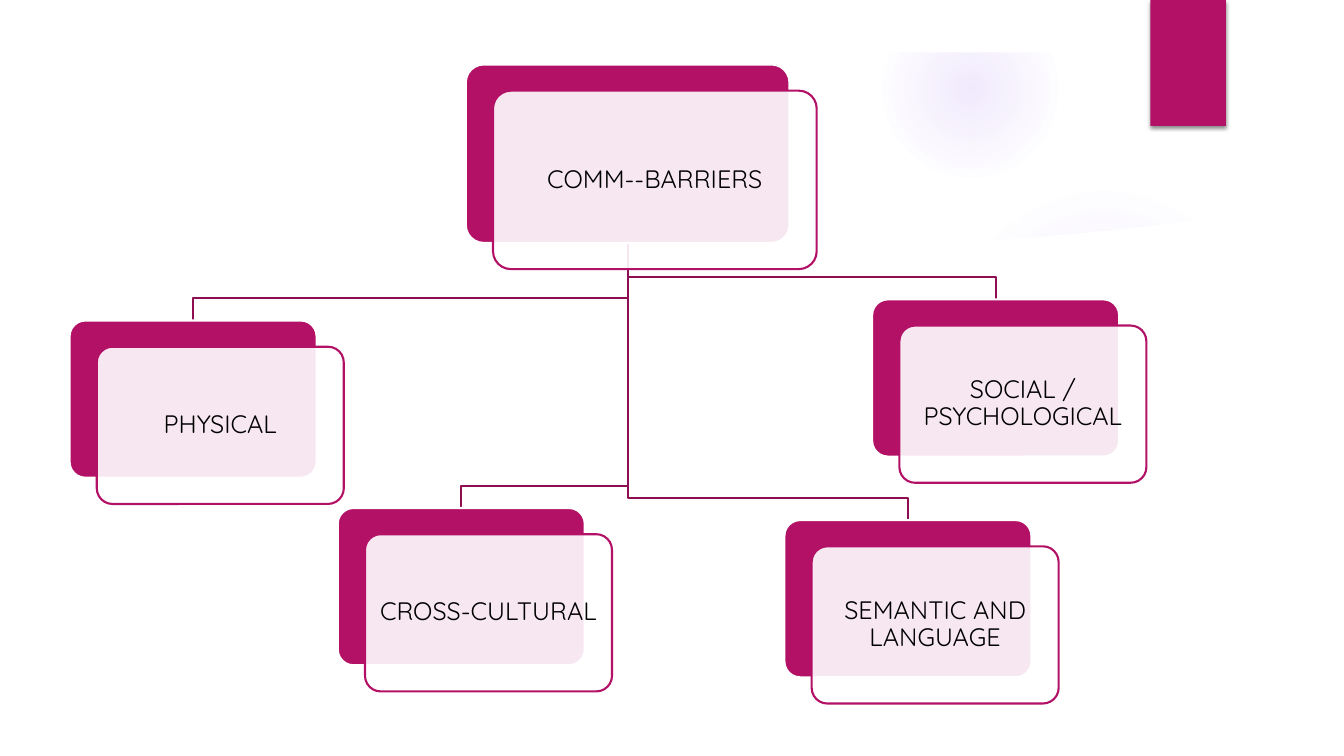
from lxml.etree import SubElement
from pptx import Presentation
from pptx.dml.color import RGBColor
from pptx.enum.shapes import MSO_SHAPE
from pptx.enum.text import MSO_ANCHOR, PP_ALIGN
from pptx.oxml.ns import qn
from pptx.util import Inches, Pt

MAGENTA = RGBColor(0xB3, 0x11, 0x66)
PLUM = RGBColor(0x8F, 0x0E, 0x52)
VIOLET = RGBColor(0x9B, 0x6B, 0xF2)
WHITE = RGBColor(0xFF, 0xFF, 0xFF)
BLACK = RGBColor(0x00, 0x00, 0x00)


def style_shape(shape, fill=None, line=None):
    shape.shadow.inherit = False
    if fill is None:
        shape.fill.background()
    else:
        shape.fill.solid()
        shape.fill.fore_color.rgb = fill
    if line is None:
        shape.line.fill.background()
    else:
        shape.line.color.rgb = line
        shape.line.width = Pt(1.5)


def write_text(shape, text, font="Quicksand", size=18, color=BLACK, inset=0.07):
    frame = shape.text_frame
    frame.word_wrap = True
    frame.vertical_anchor = MSO_ANCHOR.MIDDLE
    frame.margin_left = frame.margin_right = Inches(inset)
    frame.margin_top = frame.margin_bottom = Inches(inset)
    paragraph = frame.paragraphs[0]
    paragraph.alignment = PP_ALIGN.CENTER
    paragraph.line_spacing = 0.9
    run = paragraph.add_run()
    run.text = text
    run.font.name = font
    run.font.size = Pt(size)
    run.font.color.rgb = color


presentation = Presentation()
presentation.slide_width = Inches(13.33)
presentation.slide_height = Inches(7.5)
slide = presentation.slides.add_slide(presentation.slide_layouts[6])
shapes = slide.shapes

glows = [
    (9.41, 1.83, 3.08, [(0, 7), (36, 6), (69, 0)]),
    (8.75, 0.01, 1.75, [(0, 14), (36, 7), (73, 0)]),
]
for left, top, size, stops in glows:
    glow = shapes.add_shape(
        MSO_SHAPE.OVAL, Inches(left), Inches(top), Inches(size), Inches(size)
    )
    style_shape(glow, VIOLET)
    properties = glow.fill._xPr
    solid = properties.find(qn("a:solidFill"))
    gradient = SubElement(properties, qn("a:gradFill"), rotWithShape="1")
    properties.replace(solid, gradient)
    stop_list = SubElement(gradient, qn("a:gsLst"))
    for position, opacity in stops:
        stop = SubElement(stop_list, qn("a:gs"), pos=str(position * 1000))
        color = SubElement(stop, qn("a:srgbClr"), val=str(VIOLET))
        SubElement(color, qn("a:alpha"), val=str(opacity * 1000))
    center = SubElement(gradient, qn("a:path"), path="circle")
    SubElement(center, qn("a:fillToRect"), l="50000", t="50000", r="50000", b="50000")

wave_points = [
    (9.21, 2.42), (9.76, 2.39), (10.32, 2.35), (10.88, 2.3), (11.44, 2.24),
    (12, 2.17), (12.56, 2.09), (12.84, 2.04), (12.84, 7), (9.21, 7),
]
wave_points = [(Inches(x), Inches(y)) for x, y in wave_points]
wave_builder = shapes.build_freeform(*wave_points[0])
wave_builder.add_line_segments(wave_points[1:])
style_shape(wave_builder.convert_to_shape(), WHITE)

top_margin = shapes.add_shape(
    MSO_SHAPE.RECTANGLE, 0, 0, presentation.slide_width, Inches(0.52)
)
style_shape(top_margin, WHITE)

tab = shapes.add_shape(
    MSO_SHAPE.RECTANGLE, Inches(11.41), 0, Inches(0.75), Inches(1.25)
)
style_shape(tab, MAGENTA)
effects = tab._element.spPr.find(qn("a:effectLst"))
shadow = SubElement(
    effects, qn("a:outerShdw"), blurRad=str(Pt(3)), dist=str(Pt(2)), dir="5400000"
)
shadow_color = SubElement(shadow, qn("a:srgbClr"), val=str(BLACK))
SubElement(shadow_color, qn("a:alpha"), val="45000")

root = ("COMM--BARRIERS", 4.62, 0.64, 3.21, 1.77)
children = [
    ("PHYSICAL", 0.69, 3.18, 2.45, 1.56),
    ("CROSS-CULTURAL", 3.35, 5.04, 2.45, 1.56),
    ("SOCIAL / PSYCHOLOGICAL", 8.65, 2.97, 2.45, 1.56),
    ("SEMANTIC AND LANGUAGE", 7.78, 5.16, 2.45, 1.56),
]

trunk = Inches(6.23)
for text, left, top, width, height in reversed(children):
    branch_end = Inches(left + width / 2)
    bend = Inches(top - 0.22)
    branch_builder = shapes.build_freeform(trunk, Inches(2.41))
    branch_builder.add_line_segments(
        [(trunk, bend), (branch_end, bend), (branch_end, Inches(top))], close=False
    )
    style_shape(branch_builder.convert_to_shape(), line=PLUM)

for text, left, top, width, height in [root] + children:
    for offset_x, offset_y, fill, line in [
        (0, 0, MAGENTA, WHITE),
        (0.27, 0.26, WHITE, MAGENTA),
    ]:
        card = shapes.add_shape(
            MSO_SHAPE.ROUNDED_RECTANGLE,
            Inches(left + offset_x), Inches(top + offset_y),
            Inches(width), Inches(height),
        )
        card.adjustments[0] = 0.1
        style_shape(card, fill, line)
    panel_color = card.fill._xPr.find(qn("a:solidFill")).find(qn("a:srgbClr"))
    SubElement(panel_color, qn("a:alpha"), val="90000")
    write_text(card, text)

presentation.save("out.pptx")
